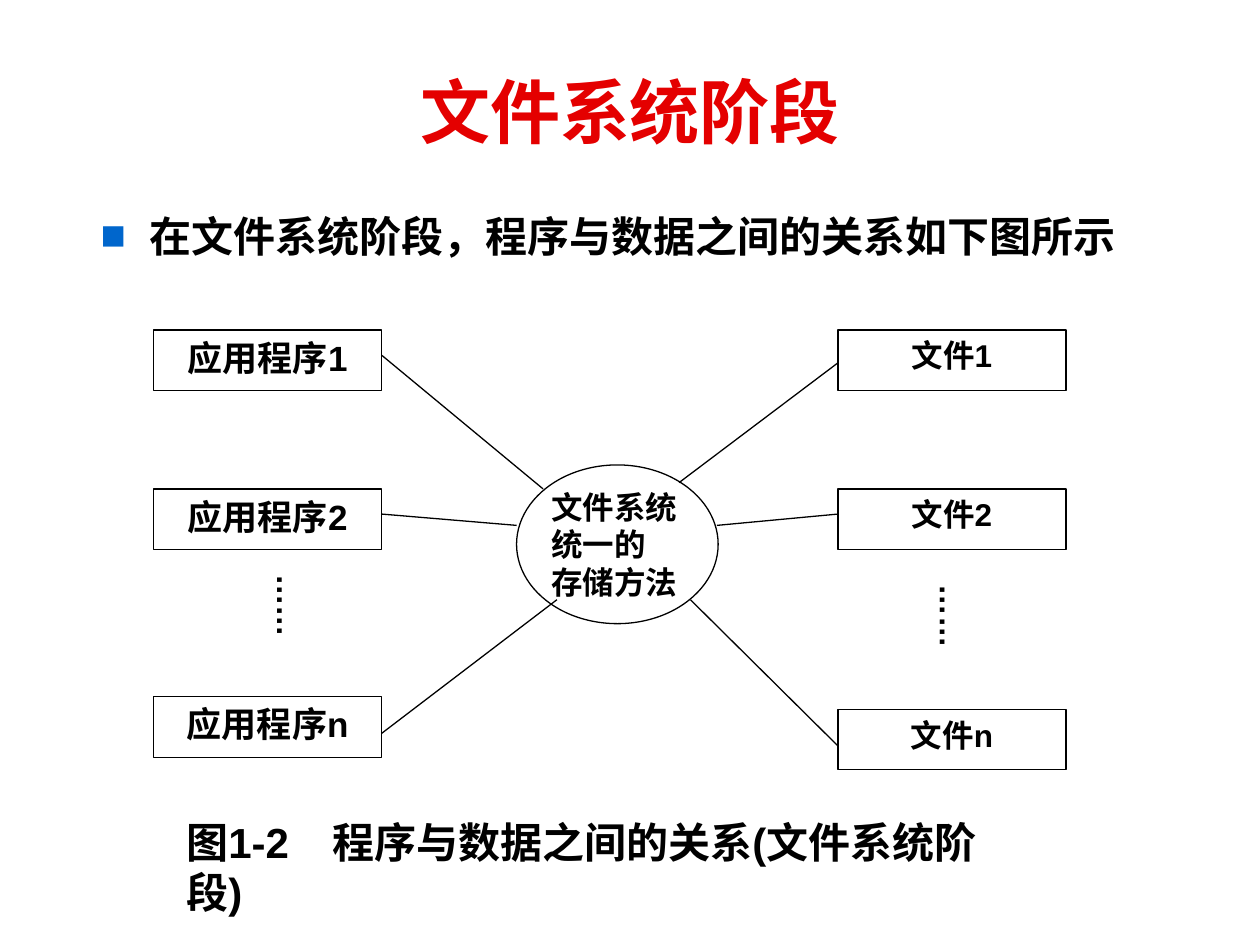
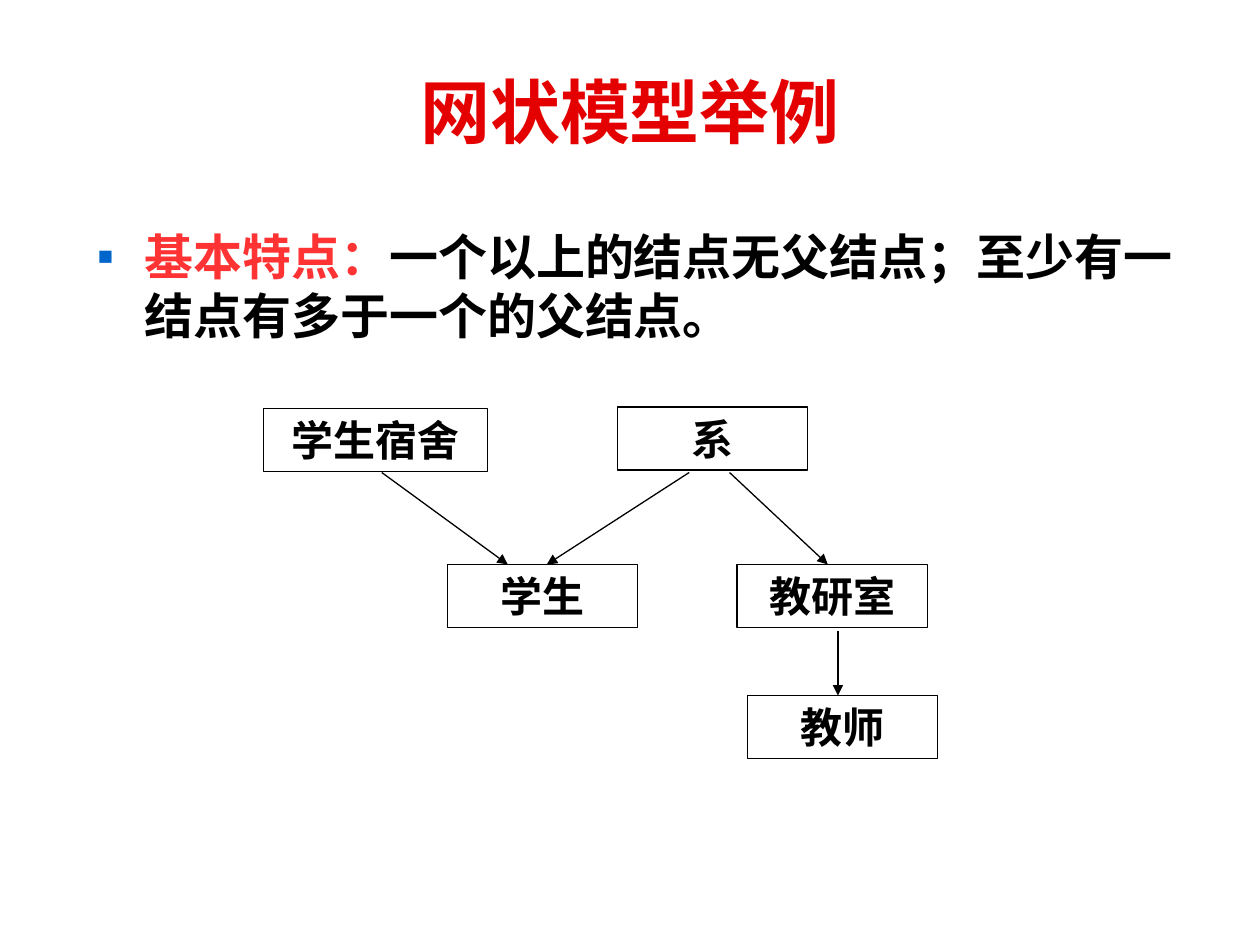
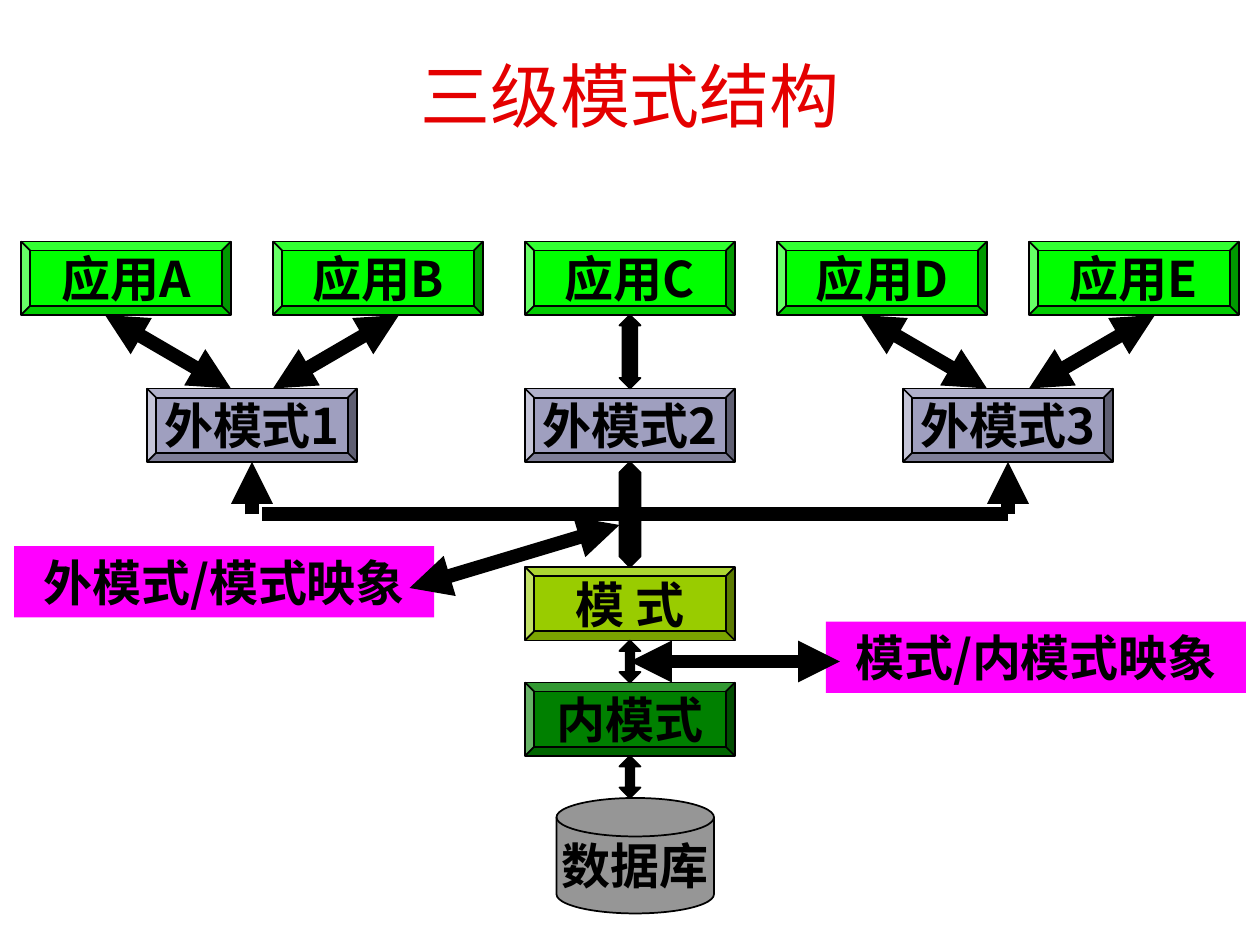
from dataclasses import dataclass
from lxml.etree import SubElement
from pptx import Presentation
from pptx.dml.color import RGBColor
from pptx.enum.shapes import MSO_CONNECTOR, MSO_SHAPE as SHAPE
from pptx.enum.text import MSO_ANCHOR as ANCHOR, PP_ALIGN as ALIGN
from pptx.oxml.ns import qn
from pptx.util import Inches, Pt


@dataclass(frozen=True)
class Theme:
    arial: str = "Arial"
    cjk: str = "Noto Sans CJK SC"
    serif: str = "Times New Roman"
    ink: str = "000000"
    title: str = "E40000"
    accent: str = "FF3333"
    bullet: str = "0066CC"
    app: str = "00FF00"
    external: str = "9F9FBF"
    schema: str = "99CC00"
    internal: str = "008000"
    disk: str = "969696"
    mapping: str = "FF00FF"
    title_pt: int = 40
    large_pt: int = 28
    medium_pt: int = 24
    label_pt: int = 20
    small_pt: int = 18
    thin: float = 0.75
    edge: float = 1
    thick: float = 8


T = Theme()
WIDTH, HEIGHT = 10, 7.5

# Slide 1: programs and files around one storage method
FILES_TITLE = "文件系统阶段"
FILES_INTRO = "在文件系统阶段，程序与数据之间的关系如下图所示"
FILES_CAPTION = "图1-2\t程序与数据之间的关系(文件系统阶段)"
HUB_LINES = ["文件系统", "统一的", "存储方法"]
HUB_BOX = (4.1, 3.69, 1.6, 1.26)
# left edge, type size, (label, top) of each box, top-left of the dots
SIDES = [
    (1.22, T.label_pt, [("应用程序1", 2.62), ("应用程序2", 3.88), ("应用程序n", 5.53)], (2, 4.46)),
    (6.65, T.small_pt, [("文件1", 2.62), ("文件2", 3.88), ("文件n", 5.63)], (7.26, 4.54)),
]
SIDE_SIZE = (1.81, 0.48)
SPOKES = [
    (3.03, 2.82, 4.31, 3.88), (3.03, 4.08, 4.1, 4.17), (3.03, 5.82, 4.42, 4.76),
    (5.39, 3.83, 6.65, 2.88), (5.69, 4.17, 6.65, 4.08), (5.48, 4.76, 6.65, 5.92),
]

# Slide 2: network model
NETWORK_TITLE = "网状模型举例"
NETWORK_INTRO = [("基本特点：", T.accent),
                 ("一个以上的结点无父结点；至少有一结点有多于一个的父结点。", T.ink)]
NODE_WIDTH, NODE_HEIGHT = 1.51, 0.5
NODES = [  # label, left, top, width
    ("学生宿舍", 2.09, 3.24, 1.78),
    ("学生", 3.55, 4.48, NODE_WIDTH),
    ("教研室", 5.85, 4.48, NODE_WIDTH),
    ("系", 4.9, 3.23, NODE_WIDTH),
    ("教师", 5.93, 5.52, NODE_WIDTH),
]
NODE_ARROWS = [(3.03, 3.75, 4.03, 4.48), (5.47, 3.75, 4.34, 4.48),
               (5.79, 3.75, 6.57, 4.48), (6.65, 5.01, 6.65, 5.52)]

# Slide 3: three schema levels, on a grid of 60 columns by 45 rows
SCHEMA_TITLE = "三级模式结构"
CELL = WIDTH / 60
BLOCK_COLS, BLOCK_ROWS = 10, 3.5
LEVELS = [  # fill, row, first column, column step, labels
    (T.internal, 32.5, 25, 0, ["内模式"]),
    (T.schema, 27, 25, 0, ["模 式"]),
    (T.external, 18.5, 7, 18, ["外模式1", "外模式2", "外模式3"]),
    (T.app, 11.5, 1, 12, ["应用A", "应用B", "应用C", "应用D", "应用E"]),
]
DISK = ("数据库", (26.5, 38, 7.5, 5.5))
UP_DOWN = [(36, 2), (30.5, 2), (22, 5), (15, 3.5)]  # row, rows tall
BUS = [(30.5, 24.5, 48, 24.5), (12.5, 24.5, 30, 24.5)]
RISERS = [(col, 24.5, col, 22) for col in (12, 48)]
APP_LINKS = [(start, 18.5, end, 15) for start, end in ((11, 5), (47, 41), (13, 19), (49, 55))]
MAPPINGS = [("外模式/模式映象", 0.67, 26), ("模式/内模式映象", 39.33, 29.6)]
MAPPING_COLS, MAPPING_ROWS = 20, 3.4
MAPPING_LINKS = [(19.5, 28, 29.5, 25), (30, 31.5, 40, 31.5)]


def rgb(value):
    return RGBColor.from_string(value)


def cells(*values):
    return [v * CELL for v in values]


def add_run(p, text, size, font=T.arial, color=T.ink, bold=True):
    r = p.add_run()
    r.text = text
    r.font.name, r.font.size, r.font.bold = font, Pt(size), bold
    r.font.color.rgb = rgb(color)
    SubElement(r.font._element, qn("a:ea"), typeface=T.cjk)


def write(s, lines, size, font=T.arial, color=T.ink, bold=True,
          align=ALIGN.CENTER, anchor=ANCHOR.TOP, wrap=True, inset=(0.1, 0.05)):
    tf = s.text_frame
    tf.word_wrap, tf.vertical_anchor = wrap, anchor
    tf.margin_left = tf.margin_right = Inches(inset[0])
    tf.margin_top = tf.margin_bottom = Inches(inset[1])
    for i, line in enumerate(lines):
        p = tf.add_paragraph() if i else tf.paragraphs[0]
        p.alignment = align
        add_run(p, line, size, font, color, bold)
    return tf


def add_box(slide, box):
    return slide.shapes.add_textbox(*map(Inches, box))


def add_title(slide, text, box=(0.33, 0.25, 9.34, 1.25), font=T.arial, bold=True):
    write(add_box(slide, box), [text], T.title_pt, font, T.title, bold, anchor=ANCHOR.MIDDLE)


def add_bullet(slide, box, runs, size, char, indent):
    tf = add_box(slide, box).text_frame
    tf.word_wrap = True
    p = tf.paragraphs[0]
    pPr = p._p.get_or_add_pPr()
    pPr.set("marL", str(Inches(indent)))
    pPr.set("indent", str(-Inches(indent)))
    SubElement(SubElement(pPr, qn("a:buClr")), qn("a:srgbClr"), val=T.bullet)
    SubElement(pPr, qn("a:buFont"), typeface=T.arial)
    SubElement(pPr, qn("a:buChar"), char=char)
    for text, color in runs:
        add_run(p, text, size, color=color)


def add_shape(slide, kind, box, fill=None, line=T.thin):
    s = slide.shapes.add_shape(kind, *map(Inches, box))
    s.shadow.inherit = False
    if fill:
        s.fill.solid()
        s.fill.fore_color.rgb = rgb(fill)
    else:
        s.fill.background()
    if line:
        s.line.color.rgb, s.line.width = rgb(T.ink), Pt(line)
    else:
        s.line.fill.background()
    return s


def add_line(slide, points, width=T.thin, ends=()):
    s = slide.shapes.add_connector(MSO_CONNECTOR.STRAIGHT, *map(Inches, points))
    s.line.color.rgb, s.line.width = rgb(T.ink), Pt(width)
    ln = s.line._get_or_add_ln()
    for end in ends:
        SubElement(ln, qn("a:" + end), type="triangle")
    SubElement(s._element.spPr, qn("a:effectLst"))


def build_files(slide):
    add_title(slide, FILES_TITLE)
    add_bullet(slide, (0.7, 1.62, 8.8, 0.5), [(FILES_INTRO, T.ink)], T.medium_pt, "■", 0.39)
    # Boxes and dots on both sides
    for left, size, items, dots in SIDES:
        for label, top in items:
            write(add_shape(slide, SHAPE.RECTANGLE, (left, top, *SIDE_SIZE)), [label], size)
        tf = write(add_box(slide, (*dots, 0.5, 0.6)), ["……"], T.small_pt,
                   align=ALIGN.LEFT, wrap=False, inset=(0.05, 0.1))
        tf._txBody.bodyPr.set("vert", "eaVert")
    # Hub and spokes
    write(add_shape(slide, SHAPE.OVAL, HUB_BOX), HUB_LINES, T.small_pt,
          align=ALIGN.LEFT, anchor=ANCHOR.MIDDLE, inset=(0.04, 0))
    for points in SPOKES:
        add_line(slide, points)
    # Caption, with a tab after the figure number
    tf = write(add_box(slide, (1.38, 6.43, 6.69, 0.9)), [FILES_CAPTION], T.medium_pt,
               align=ALIGN.LEFT)
    tabs = SubElement(tf.paragraphs[0]._p.get_or_add_pPr(), qn("a:tabLst"))
    SubElement(tabs, qn("a:tab"), pos=str(Inches(1.16)), algn="l")


def build_network(slide):
    add_title(slide, NETWORK_TITLE)
    add_bullet(slide, (0.67, 1.75, 8.92, 1.1), NETWORK_INTRO, T.large_pt, "▪", 0.38)
    for label, left, top, width in NODES:
        s = add_shape(slide, SHAPE.RECTANGLE, (left, top, width, NODE_HEIGHT))
        write(s, [label], T.medium_pt, T.serif)
    for points in NODE_ARROWS:
        add_line(slide, points, ends=["tailEnd"])


def build_schema(slide):
    def block(kind, label, box, fill, line=T.edge):
        s = add_shape(slide, kind, cells(*box), fill, line)
        write(s, [label], T.large_pt, T.cjk, anchor=ANCHOR.MIDDLE, wrap=False)

    def links(lines, *ends):
        for points in lines:
            add_line(slide, cells(*points), T.thick, ends)

    add_title(slide, SCHEMA_TITLE, (0.75, 0.25, 8.5, 1), T.cjk, bold=False)
    # Database and the levels above it
    block(SHAPE.FLOWCHART_MAGNETIC_DISK, *DISK, T.disk)
    for fill, row, first, step, labels in LEVELS:
        for i, label in enumerate(labels):
            block(SHAPE.BEVEL, label, (first + i * step, row, BLOCK_COLS, BLOCK_ROWS), fill)
    # Arrows between levels
    for row, rows in UP_DOWN:
        s = add_shape(slide, SHAPE.UP_DOWN_ARROW, cells(29.5, row, 1, rows), T.ink, T.edge)
        s.adjustments[0], s.adjustments[1] = 0.5, 0.2 * rows
    links(BUS)
    links(RISERS, "tailEnd")
    links(APP_LINKS, "headEnd", "tailEnd")
    # Mapping labels and their pointers
    for label, col, row in MAPPINGS:
        block(SHAPE.RECTANGLE, label, (col, row, MAPPING_COLS, MAPPING_ROWS), T.mapping, None)
    links(MAPPING_LINKS, "headEnd", "tailEnd")


def main():
    prs = Presentation()
    prs.slide_width, prs.slide_height = Inches(WIDTH), Inches(HEIGHT)
    for build in (build_files, build_network, build_schema):
        build(prs.slides.add_slide(prs.slide_layouts[6]))
    prs.save("out.pptx")


if __name__ == "__main__":
    main()
